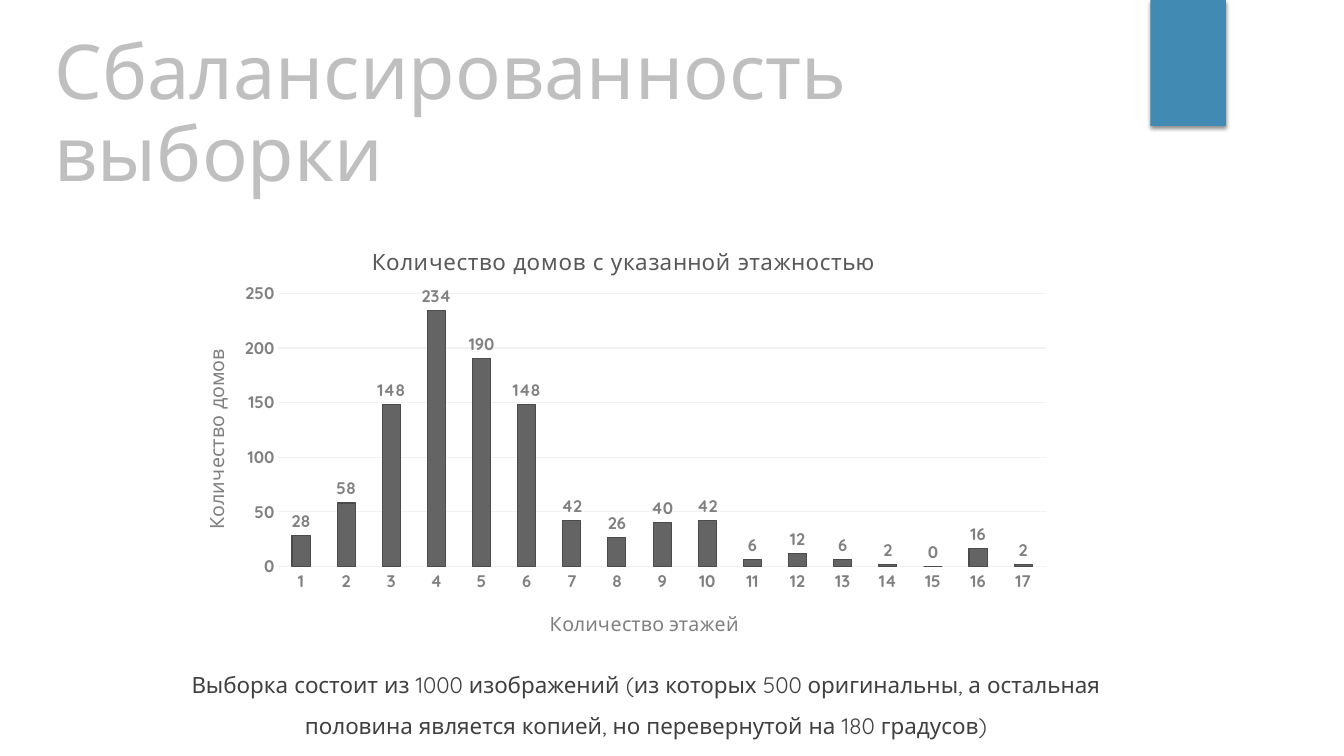
import pptx
import pptx.chart.data
import pptx.dml.color
import pptx.enum.chart
import pptx.enum.shapes
import pptx.enum.text
import pptx.oxml
import pptx.oxml.ns
import pptx.util

FONT = "Quicksand"
WIDTH, HEIGHT = 13.33, 7.5
FLOOR_COUNTS = [28, 58, 148, 234, 190, 148, 42, 26, 40, 42, 6, 12, 6, 2, 0, 16, 2]


def inches(box):
    return [pptx.util.Inches(v) for v in box]


def color(value):
    return pptx.dml.color.RGBColor.from_string(value)


def format_font(font, size, fill, bold=False):
    font.name = FONT
    font.size = pptx.util.Pt(size)
    font.bold = bold
    font.color.rgb = color(fill)


def write(tf, text, size, fill, align=None, line_spacing=None, spacing=None):
    """Set a frame's only paragraph; spacing is in hundredths of a point."""
    p = tf.paragraphs[0]
    p.text = text
    p.alignment = align
    p.line_spacing = line_spacing
    for r in p.runs:
        format_font(r.font, size, fill)
        if spacing:
            r.font._element.set("spc", str(spacing))


def paint(fmt, fill, line, width=0.75):
    fmt.fill.solid()
    fmt.fill.fore_color.rgb = color(fill)
    fmt.line.color.rgb = color(line)
    fmt.line.width = pptx.util.Pt(width)


def place(element, target=None, **shares):
    """Give a chart part a manual layout in shares of the chart's size."""
    ns = pptx.oxml.ns.nsdecls("c")
    inner = f'<c:layoutTarget val="{target}"/>' if target else ""
    inner += "".join(f'<c:{k}Mode val="edge"/>' for k in "xy")
    inner += "".join(f'<c:{k} val="{v}"/>' for k, v in shares.items())
    layout = pptx.oxml.parse_xml(
        f"<c:layout {ns}><c:manualLayout>{inner}</c:manualLayout></c:layout>")
    for old in element.findall(pptx.oxml.ns.qn("c:layout")):
        element.remove(old)
    text = element.find(pptx.oxml.ns.qn("c:tx"))
    if text is None:
        element.insert(0, layout)
    else:
        text.addnext(layout)


def add_accent(slide, box):
    sp = slide.shapes.add_shape(pptx.enum.shapes.MSO_SHAPE.RECTANGLE, *inches(box))
    sp.fill.solid()
    sp.fill.fore_color.rgb = color("418AB3")
    sp.line.fill.background()
    sp.shadow.inherit = False
    effects = sp._element.spPr.find(pptx.oxml.ns.qn("a:effectLst"))
    effects.append(pptx.oxml.parse_xml(
        f'<a:outerShdw {pptx.oxml.ns.nsdecls("a")} blurRad="38100" dist="25400" '
        'dir="5400000" rotWithShape="0"><a:srgbClr val="000000">'
        '<a:alpha val="45000"/></a:srgbClr></a:outerShdw>'))


def add_title(slide, box):
    sp = slide.shapes.title
    sp.left, sp.top, sp.width, sp.height = inches(box)
    tf = sp.text_frame
    tf.word_wrap = True
    tf.auto_size = pptx.enum.text.MSO_AUTO_SIZE.NONE
    tf.vertical_anchor = pptx.enum.text.MSO_ANCHOR.TOP
    write(tf, "Сбалансированность выборки", 54, "BFBFBF",
          align=pptx.enum.text.PP_ALIGN.LEFT, line_spacing=0.9)


def format_axis(axis, title, x, y):
    axis.major_tick_mark = pptx.enum.chart.XL_TICK_MARK.NONE
    axis.minor_tick_mark = pptx.enum.chart.XL_TICK_MARK.NONE
    axis.format.line.fill.background()
    format_font(axis.tick_labels.font, 12, "808080", bold=True)
    write(axis.axis_title.text_frame, title, 14, "808080")
    place(axis.axis_title._element, x=x, y=y)


def add_floor_chart(slide, box):
    data = pptx.chart.data.CategoryChartData()
    data.categories = [str(n) for n in range(1, len(FLOOR_COUNTS) + 1)]
    data.add_series("Series 1", FLOOR_COUNTS)
    kind = pptx.enum.chart.XL_CHART_TYPE.COLUMN_CLUSTERED
    chart = slide.shapes.add_chart(kind, *inches(box), data).chart
    format_font(chart.font, 10, "000000")
    chart.has_legend = False
    write(chart.chart_title.text_frame, "Количество домов с указанной этажностью",
          16, "595959", spacing=50)
    place(chart.chart_title._element, x=0.22, y=0.05)
    place(chart._chartSpace.chart.plotArea, "inner", x=0.12, y=0.17, w=0.86, h=0.63)

    format_axis(chart.category_axis, "Количество этажей", 0.42, 0.89)
    axis = chart.value_axis
    format_axis(axis, "Количество домов", 0.03, 0.29)
    axis.axis_title.text_frame._txBody.bodyPr.set("rot", "-5400000")
    axis.minimum_scale, axis.maximum_scale, axis.major_unit = 0, 250, 50
    grid = axis.major_gridlines.format.line
    grid.color.rgb = color("F2F2F2")
    grid.width = pptx.util.Pt(0.75)

    plot = chart.plots[0]
    plot.gap_width = 150
    plot.vary_by_categories = False
    series = plot.series[0]
    paint(series.format, "646464", "4B4B4B")
    labels = series.data_labels
    labels.show_value = True
    labels.position = pptx.enum.chart.XL_LABEL_POSITION.OUTSIDE_END
    format_font(labels.font, 12, "808080", bold=True)


def add_caption(slide, box):
    tf = slide.shapes.add_textbox(*inches(box)).text_frame
    tf.word_wrap = False
    tf.auto_size = pptx.enum.text.MSO_AUTO_SIZE.SHAPE_TO_FIT_TEXT
    write(tf, "Выборка состоит из 1000 изображений (из которых 500 оригинальны, а остальная\v"
          "половина является копией, но перевернутой на 180 градусов)", 16, "404040",
          align=pptx.enum.text.PP_ALIGN.CENTER, line_spacing=1.5)


def main():
    prs = pptx.Presentation()
    prs.slide_width, prs.slide_height = inches((WIDTH, HEIGHT))
    slide = prs.slides.add_slide(prs.slide_layouts[5])
    add_accent(slide, (11.41, 0, 0.75, HEIGHT / 6))
    add_title(slide, (0.44, 0.29, WIDTH * 0.75, 0.83))
    add_floor_chart(slide, (1.7, 2.18, 8.85, 4.3))
    add_caption(slide, (1.7, 6.48, 9.42, 0.86))
    prs.save("out.pptx")


if __name__ == "__main__":
    main()
